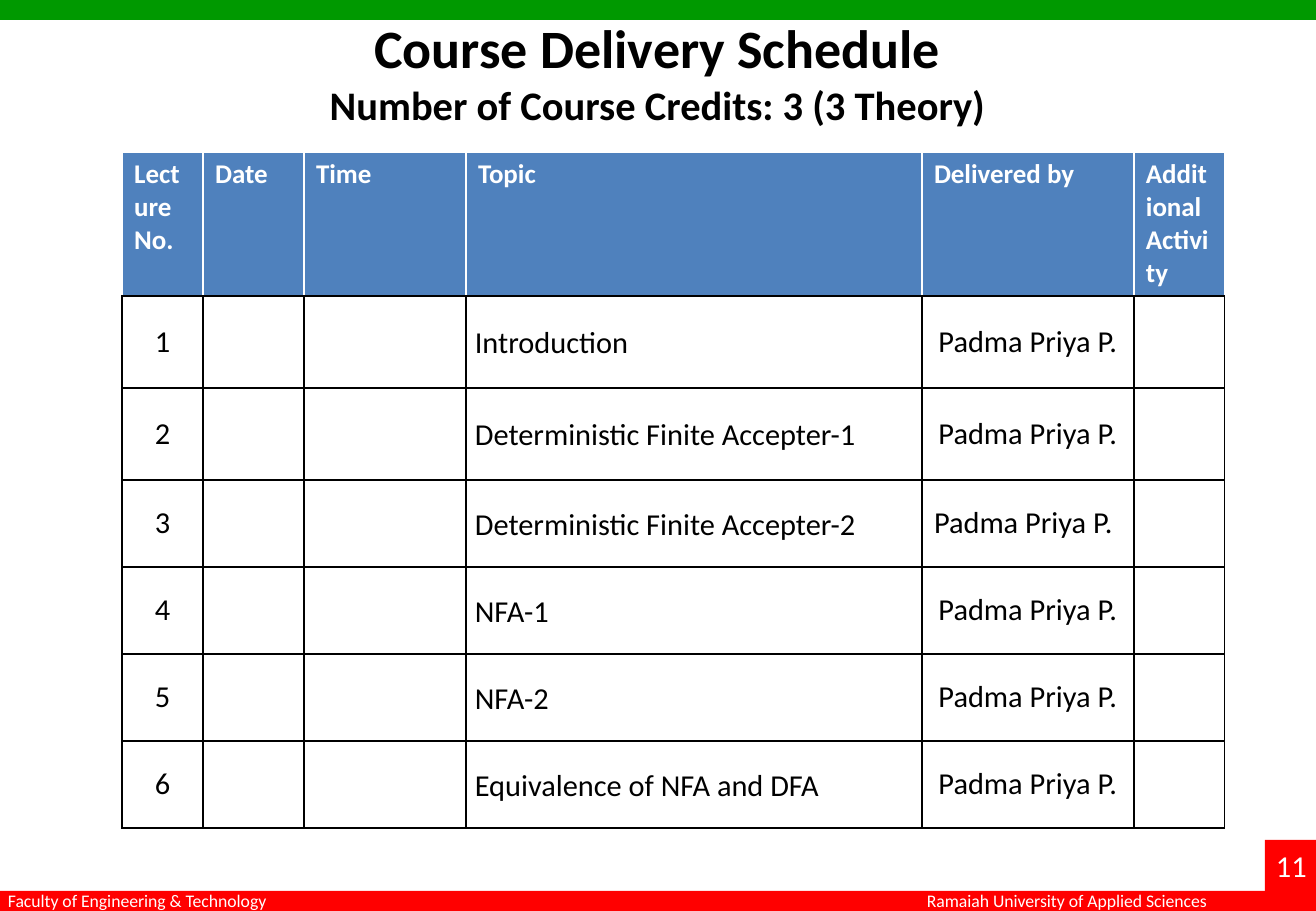
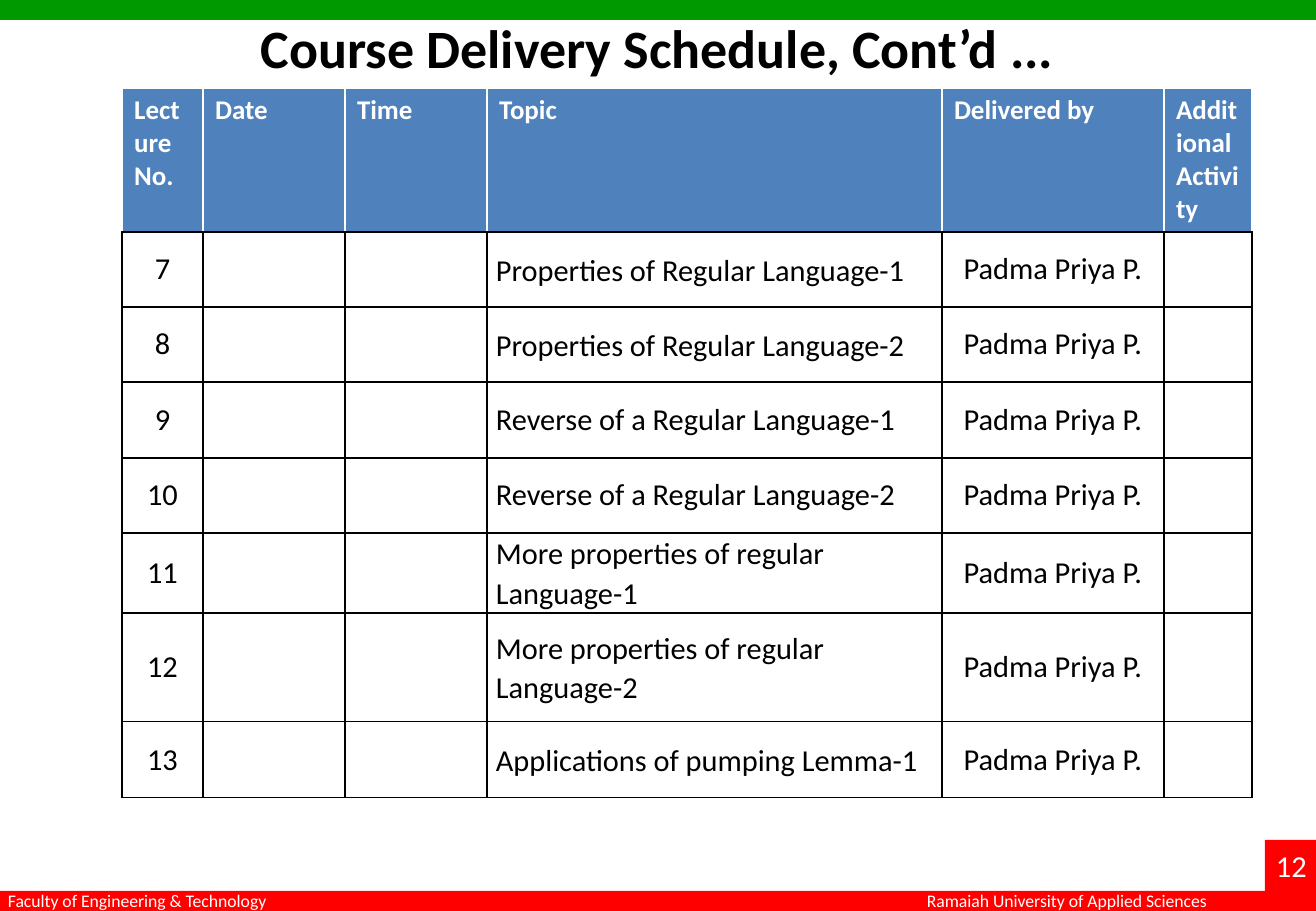
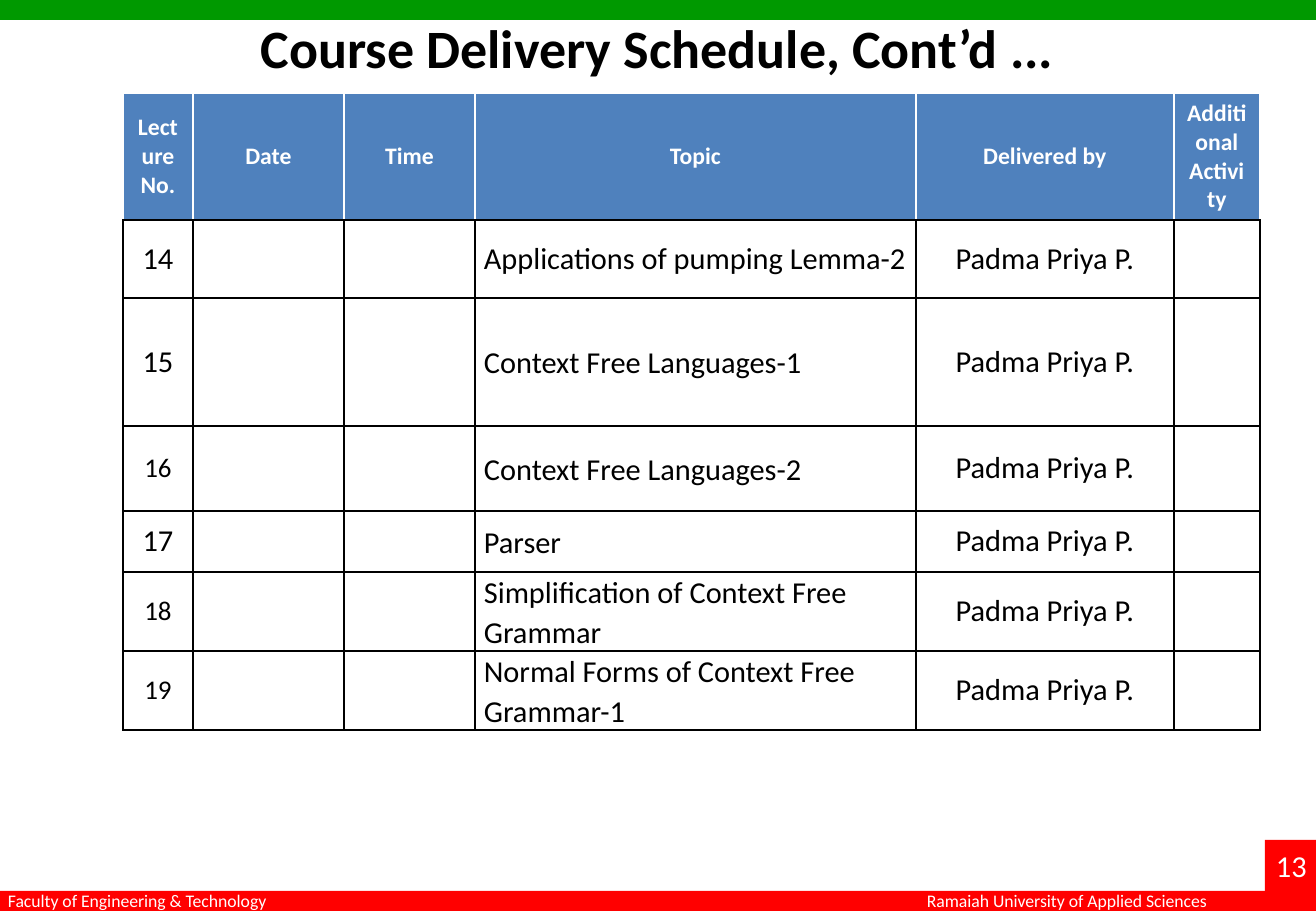
import lxml.etree
import pptx
import pptx.dml.color
import pptx.enum.shapes
import pptx.enum.text
import pptx.oxml.ns
import pptx.util

# Shared look
SCALE = 7526  # EMU in one px
PAGE_WIDTH, PAGE_HEIGHT = 1316, 911
FONT = "Calibri"
GREEN, RED, BLUE = "009900", "FF0000", "4F81BD"
WHITE, BLACK = "FFFFFF", "000000"
BAND = 20
BADGE_WIDTH, BADGE_HEIGHT = 51, 71
LEFT = pptx.enum.text.PP_ALIGN.LEFT
CENTER = pptx.enum.text.PP_ALIGN.CENTER
TOP = pptx.enum.text.MSO_ANCHOR.TOP
MIDDLE = pptx.enum.text.MSO_ANCHOR.MIDDLE

# Content
FACULTY = "Faculty of Engineering & Technology"
UNIVERSITY = "Ramaiah University of Applied Sciences"
LECTURER = "Padma Priya P."
HEADINGS = ["Lecture No.", "Date", "Time", "Topic", "Delivered by", "Additional Activity"]
CONTINUED = [("Course Delivery Schedule, Cont’d ...", 32)]
FIRST_PAGE = 11
SINGLE_SPACED = {9, 10, 14}  # lectures whose topic has plain line spacing
SMALL_NUMBERS = {16, 18, 19}
LEFT_LECTURERS = {3}

SCHEDULES = [
    {
        "title": [("Course Delivery Schedule", 32),
                  ("Number of Course Credits: 3 (3 Theory)", 24)],
        "corner": (122, 152),
        "columns": [81, 101, 162, 456, 212, 91],
        "heading": (144, 16, LEFT, TOP),
        "first": 1,
        "topics": [("Introduction", 92),
                   ("Deterministic Finite Accepter-1", 92),
                   ("Deterministic Finite Accepter-2", 87),
                   ("NFA-1", 87),
                   ("NFA-2", 87),
                   ("Equivalence of NFA and DFA", 87)],
    },
    {
        "title": CONTINUED,
        "corner": (122, 88),
        "columns": [81, 142, 142, 455, 222, 88],
        "heading": (144, 16, LEFT, TOP),
        "first": 7,
        "topics": [("Properties of Regular Language-1", 75),
                   ("Properties of Regular Language-2", 75),
                   ("Reverse of a Regular Language-1", 76),
                   ("Reverse of a Regular Language-2", 75),
                   ("More properties of regular Language-1", 80),
                   ("More properties of regular Language-2", 109),
                   ("Applications of pumping Lemma-1", 76)],
    },
    {
        "title": CONTINUED,
        "corner": (123, 93),
        "columns": [70, 151, 131, 441, 258, 86],
        "heading": (127, 14, CENTER, MIDDLE),
        "first": 14,
        "topics": [("Applications of pumping Lemma-2", 78),
                   ("Context Free Languages-1", 128),
                   ("Context Free Languages-2", 85),
                   ("Parser", 61),
                   ("Simplification of Context Free Grammar", 79),
                   ("Normal Forms of Context Free Grammar-1", 79)],
    },
]


# Helpers
def px(length):
    return pptx.util.Emu(length * SCALE)


def color(value):
    return pptx.dml.color.RGBColor.from_string(value)


def style(para, size, ink, bold=False, align=LEFT):
    para.alignment = align
    para.font.name = FONT
    para.font.size = pptx.util.Pt(size)
    para.font.bold = bold
    para.font.color.rgb = color(ink)


def add_band(page, left, top, width, height, fill):
    band = page.shapes.add_shape(pptx.enum.shapes.MSO_SHAPE.RECTANGLE,
                                 px(left), px(top), px(width), px(height))
    band.shadow.inherit = False
    band.fill.solid()
    band.fill.fore_color.rgb = color(fill)
    band.line.fill.background()


def add_text(page, left, top, width, height, lines, ink, bold=False, align=LEFT):
    box = page.shapes.add_textbox(px(left), px(top), px(width), px(height))
    frame = box.text_frame
    frame.word_wrap = True
    frame.margin_left = frame.margin_right = frame.margin_top = frame.margin_bottom = 0
    for index, (text, size) in enumerate(lines):
        para = frame.add_paragraph() if index else frame.paragraphs[0]
        para.text = text
        style(para, size, ink, bold, align)


def set_cell(cell, fill, edge):
    """Draw side and top edges in one colour, the bottom in black, then fill."""
    properties = cell._tc.get_or_add_tcPr()
    for tag, ink in (("a:lnL", edge), ("a:lnR", edge), ("a:lnT", edge), ("a:lnB", BLACK)):
        line = lxml.etree.SubElement(properties, pptx.oxml.ns.qn(tag), w="12700")
        solid = lxml.etree.SubElement(line, pptx.oxml.ns.qn("a:solidFill"))
        lxml.etree.SubElement(solid, pptx.oxml.ns.qn("a:srgbClr"), val=ink)
    cell.fill.solid()
    cell.fill.fore_color.rgb = color(fill)


def write_cell(cell, text, size, ink, bold=False, align=CENTER, anchor=MIDDLE):
    cell.vertical_anchor = anchor
    para = cell.text_frame.paragraphs[0]
    para.text = text
    style(para, size, ink, bold, align)
    return para


# Page parts
def add_frame(page, number):
    add_band(page, 0, 0, PAGE_WIDTH, BAND, GREEN)
    add_band(page, 0, PAGE_HEIGHT - BAND, PAGE_WIDTH, BAND, RED)
    add_band(page, PAGE_WIDTH - BADGE_WIDTH, PAGE_HEIGHT - BADGE_HEIGHT,
             BADGE_WIDTH, BADGE_HEIGHT, RED)
    for left, text in ((8, FACULTY), (927, UNIVERSITY)):
        add_text(page, left, 890, 320, 21, [(text, 10.5)], WHITE)
    add_text(page, 1276, 847, 40, 37, [(str(number), 18)], WHITE)


def add_schedule(page, schedule):
    columns, topics = schedule["columns"], schedule["topics"]
    heading_height, heading_size, heading_align, heading_anchor = schedule["heading"]
    heights = [heading_height] + [height for _, height in topics]
    left, top = schedule["corner"]
    table = page.shapes.add_table(len(heights), len(columns), px(left), px(top),
                                  px(sum(columns)), px(sum(heights))).table
    for column, width in zip(table.columns, columns):
        column.width = px(width)
    for row, height in zip(table.rows, heights):
        row.height = px(height)

    for cell, text in zip(table.rows[0].cells, HEADINGS):
        set_cell(cell, BLUE, WHITE)
        write_cell(cell, text, heading_size, WHITE, True, heading_align, heading_anchor)

    for index, (topic, _) in enumerate(topics):
        lecture = schedule["first"] + index
        cells = list(table.rows[index + 1].cells)
        for cell in cells:
            set_cell(cell, WHITE, BLACK)
        write_cell(cells[0], str(lecture), 16 if lecture in SMALL_NUMBERS else 18, BLACK)
        para = write_cell(cells[3], topic, 18, BLACK, align=LEFT)
        if lecture not in SINGLE_SPACED:
            para.line_spacing = 1.07
        cells[3].margin_left = cells[3].margin_right = px(9)
        cells[3].margin_top = cells[3].margin_bottom = 0
        write_cell(cells[4], LECTURER, 18, BLACK,
                   align=LEFT if lecture in LEFT_LECTURERS else CENTER)


def main():
    deck = pptx.Presentation()
    deck.slide_width, deck.slide_height = px(PAGE_WIDTH), px(PAGE_HEIGHT)
    for number, schedule in enumerate(SCHEDULES, FIRST_PAGE):
        page = deck.slides.add_slide(deck.slide_layouts[6])
        add_frame(page, number)
        add_text(page, 65, 15, 1185, 66, schedule["title"], BLACK, True, CENTER)
        add_schedule(page, schedule)
    deck.save("out.pptx")


if __name__ == "__main__":
    main()
